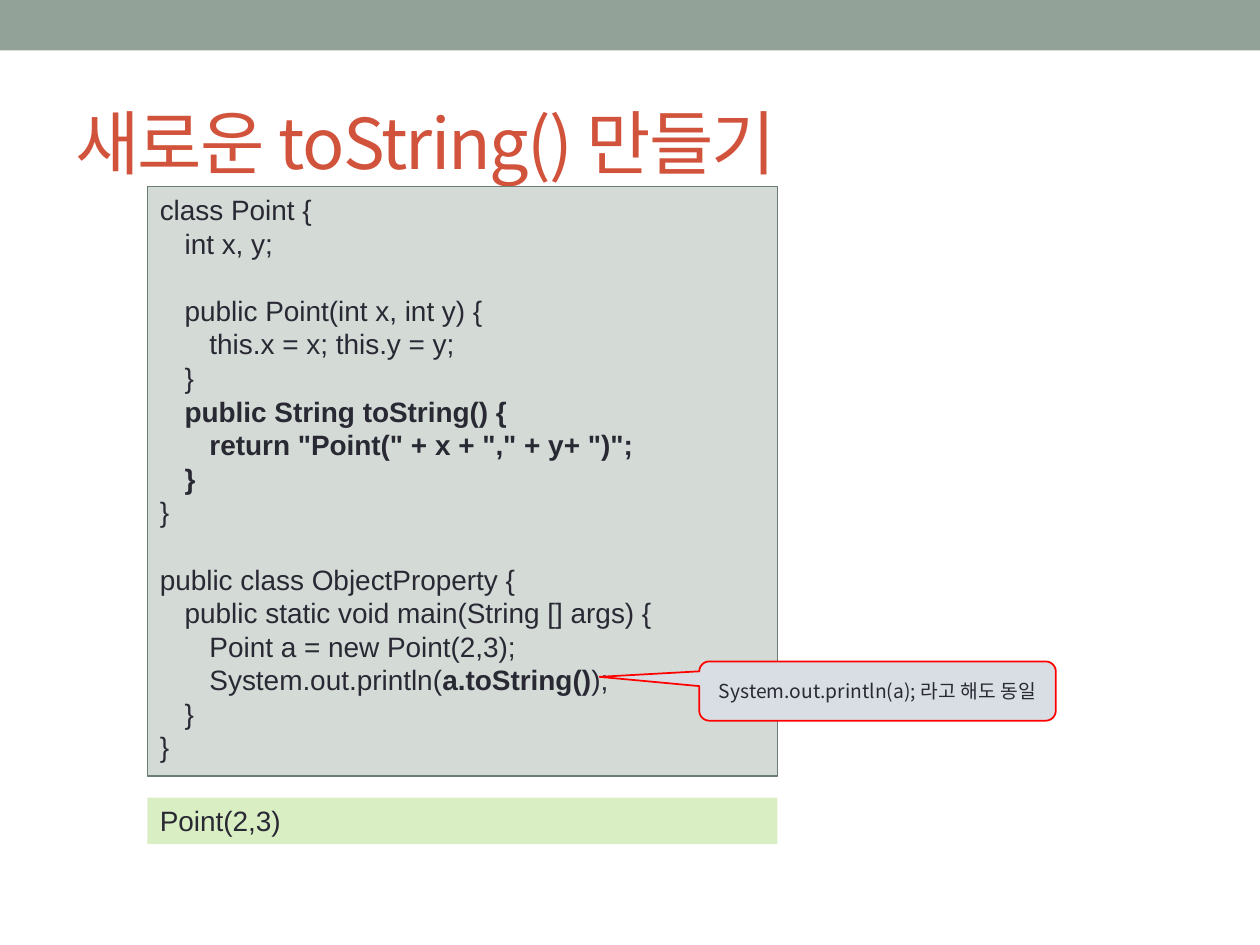
from dataclasses import dataclass
from typing import NamedTuple, Optional

from lxml.etree import SubElement
from pptx import Presentation
from pptx.dml.color import RGBColor
from pptx.enum.shapes import MSO_SHAPE
from pptx.enum.text import MSO_ANCHOR, PP_ALIGN
from pptx.oxml.ns import qn
from pptx.util import Pt

SAGE = RGBColor(0x93, 0xA2, 0x99)
PALE = RGBColor(0xD4, 0xDA, 0xD6)
MOSS = RGBColor(0x6B, 0x7D, 0x72)
LIME = RGBColor(0xDA, 0xEE, 0xC4)
MIST = RGBColor(0xD9, 0xDE, 0xE4)
RED = RGBColor(0xFF, 0x00, 0x00)
RUST = RGBColor(0xD2, 0x53, 0x3C)
INK = RGBColor(0x29, 0x29, 0x34)

LATIN = "Arial"
HANGUL = "Noto Sans CJK KR"
TAB = 14.2
LEAD = Pt(19.2)


class Line(NamedTuple):
    depth: int = 0
    text: str = ""
    bold: str = ""
    tail: str = ""


@dataclass
class Box:
    left: float
    top: float
    width: float
    height: float
    lines: tuple[Line, ...] = ()
    fill: Optional[RGBColor] = None
    edge: Optional[RGBColor] = None
    weight: float = 1
    kind: MSO_SHAPE = MSO_SHAPE.RECTANGLE
    points: tuple[float, ...] = ()
    font: str = LATIN
    size: float = 16
    ink: RGBColor = INK
    track: int = 0
    anchor: MSO_ANCHOR = MSO_ANCHOR.TOP
    align: PP_ALIGN = PP_ALIGN.LEFT
    lead: Optional[int] = None


CODE = (
    Line(0, "class Point {"),
    Line(1, "int x, y;"),
    Line(1),
    Line(1, "public Point(int x, int y) {"),
    Line(2, "this.x = x; this.y = y;"),
    Line(1, "}"),
    Line(1, bold="public String toString() {"),
    Line(2, bold='return "Point(" + x + "," + y+ ")";'),
    Line(1, bold="}"),
    Line(0, "}"),
    Line(),
    Line(0, "public class ObjectProperty {"),
    Line(1, "public static void main(String [] args) {"),
    Line(2, "Point a = new Point(2,3);"),
    Line(2, "System.out.println(", "a.toString()", ");"),
    Line(1, "}"),
    Line(0, "}"),
)

BOXES = (
    Box(0, 0, 720, 28.8, fill=SAGE),
    Box(36, 41.76, 648, 77.76, (Line(0, "새로운 toString() 만들기"),),
        font=HANGUL, size=40, ink=RUST, track=-100,
        anchor=MSO_ANCHOR.MIDDLE),
    Box(84.24, 106.56, 360, 336.96, CODE, PALE, MOSS, 0.75, lead=LEAD),
    Box(84.24, 455.76, 360, 26.64, (Line(0, "Point(2,3)"),), LIME,
        lead=LEAD),
    Box(399.6, 378, 203.76, 33.84,
        (Line(0, "System.out.println(a); 라고 해도 동일"),), MIST, RED,
        kind=MSO_SHAPE.ROUNDED_RECTANGULAR_CALLOUT,
        points=(-0.78, -0.24, 0.17), font=HANGUL, size=11,
        anchor=MSO_ANCHOR.MIDDLE, align=PP_ALIGN.CENTER),
)


def style(item: object, form: dict[str, object]) -> None:
    for key, value in form.items():
        setattr(item, key, value)


def write(para, line: Line, box: Box) -> None:
    style(para, {"alignment": box.align, "line_spacing": box.lead})
    if line.depth:
        stops = SubElement(para._p.get_or_add_pPr(), qn("a:tabLst"))
        for step in range(1, line.depth + 1):
            SubElement(stops, qn("a:tab"), pos=str(Pt(TAB * step)), algn="l")
    style(para.font, {"size": Pt(box.size), "name": box.font})
    parts = (
        ("\t" * line.depth + line.text, False),
        (line.bold, True),
        (line.tail, False),
    )
    for text, bold in parts:
        if not text:
            continue
        run = para.add_run()
        run.text = text
        style(run.font, {"size": Pt(box.size), "name": box.font, "bold": bold})
        run.font.color.rgb = box.ink
        props = run._r.get_or_add_rPr()
        SubElement(props, qn("a:ea"), typeface=box.font)
        if box.track:
            props.set("spc", str(box.track))


def draw(slide, box: Box) -> None:
    place = [Pt(n) for n in (box.left, box.top, box.width, box.height)]
    if box.fill is None:
        shape = slide.shapes.add_textbox(*place)
    else:
        shape = slide.shapes.add_shape(box.kind, *place)
        shape.shadow.inherit = False
        shape.fill.solid()
        shape.fill.fore_color.rgb = box.fill
        if box.edge is None:
            shape.line.fill.background()
        else:
            shape.line.color.rgb = box.edge
            shape.line.width = Pt(box.weight)
    for index, value in enumerate(box.points):
        shape.adjustments[index] = value
    frame = shape.text_frame
    style(frame, {
        "word_wrap": True,
        "vertical_anchor": box.anchor,
        "margin_left": Pt(7.2),
        "margin_right": Pt(7.2),
        "margin_top": Pt(3.6),
        "margin_bottom": Pt(3.6),
    })
    for index, line in enumerate(box.lines):
        para = frame.add_paragraph() if index else frame.paragraphs[0]
        write(para, line, box)


def main() -> None:
    deck = Presentation()
    style(deck, {"slide_width": Pt(720), "slide_height": Pt(540)})
    slide = deck.slides.add_slide(deck.slide_layouts[6])
    for box in BOXES:
        draw(slide, box)
    deck.save("out.pptx")


if __name__ == "__main__":
    main()
